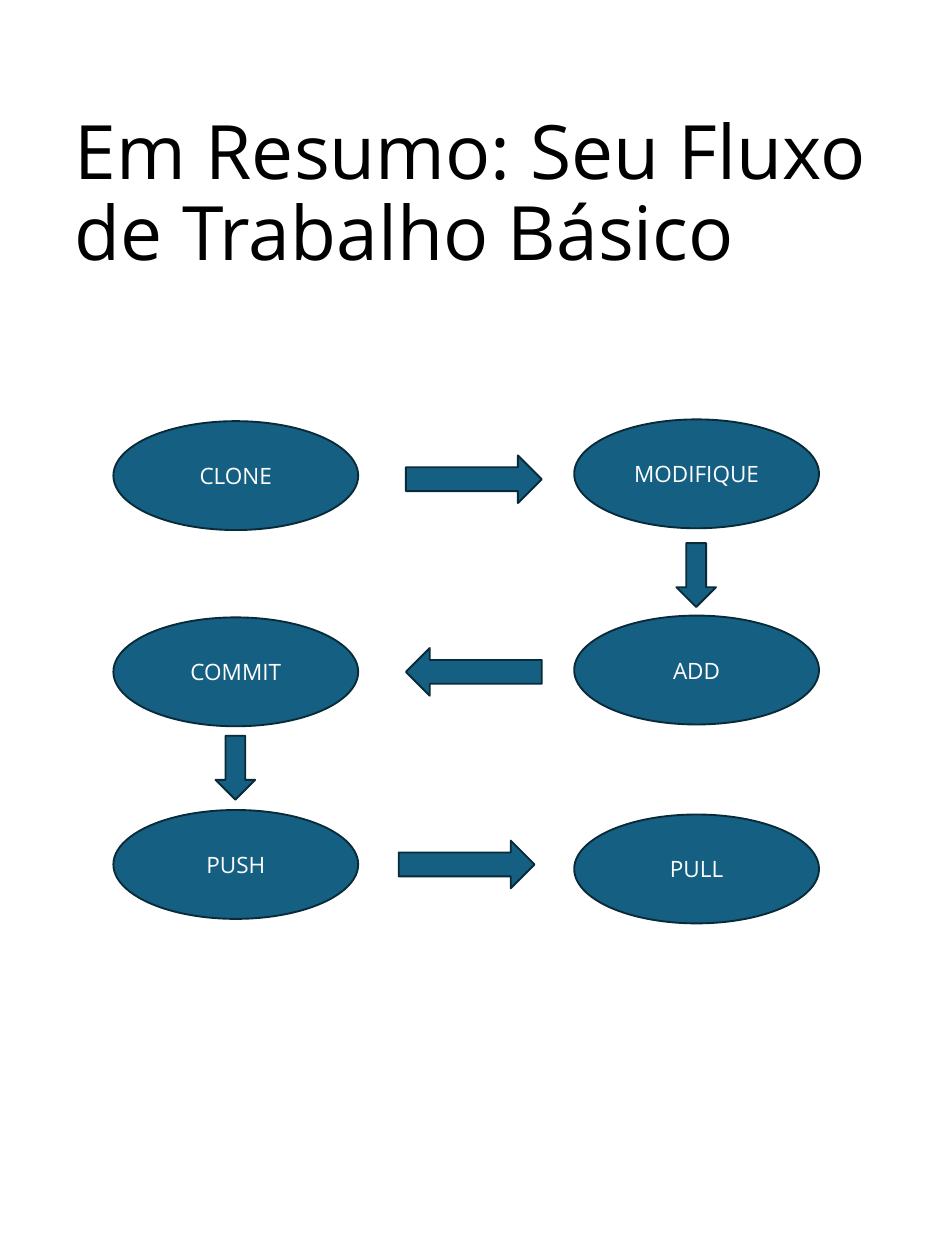
from pptx import Presentation
from pptx.dml.color import RGBColor
from pptx.enum.shapes import MSO_SHAPE
from pptx.enum.text import MSO_ANCHOR, MSO_AUTO_SIZE, PP_ALIGN
from pptx.util import Inches, Pt

ELLIPSE = MSO_SHAPE.OVAL
ARROW = MSO_SHAPE.RIGHT_ARROW
MIDDLE = MSO_ANCHOR.MIDDLE
LEFT, CENTER = PP_ALIGN.LEFT, PP_ALIGN.CENTER
TITLE_ONLY = 5

TITLE = "Em Resumo: Seu Fluxo de Trabalho Básico"
LEFT_COLUMN, RIGHT_COLUMN = 1.26, 6.38
STEP_SIZE = (2.72, 1.21)
STEPS = [
    ("CLONE", LEFT_COLUMN, 4.68),
    ("MODIFIQUE", RIGHT_COLUMN, 4.66),
    ("ADD", RIGHT_COLUMN, 6.84),
    ("COMMIT", LEFT_COLUMN, 6.86),
    ("PUSH", LEFT_COLUMN, 9),
    ("PULL", RIGHT_COLUMN, 9.05),
]
LONG_ARROW, SHORT_ARROW = (1.51, 0.53), (0.71, 0.44)
ARROWS = [
    (4.51, 5.06, LONG_ARROW, 0),
    (7.38, 6.17, SHORT_ARROW, 90),
    (4.51, 7.2, LONG_ARROW, 180),
    (2.26, 8.31, SHORT_ARROW, 90),
    (4.43, 9.34, LONG_ARROW, 0),
]


def color(value):
    return RGBColor.from_string(value)


def write_text(shape, text, size, fill, align, spacing=1.0):
    frame = shape.text_frame
    frame.word_wrap = True
    frame.auto_size = MSO_AUTO_SIZE.NONE
    frame.vertical_anchor = MIDDLE
    paragraph = frame.paragraphs[0]
    paragraph.alignment = align
    paragraph.line_spacing = spacing
    run = paragraph.add_run()
    run.text = text
    run.font.name = "Open Sans"
    run.font.size = Pt(size)
    run.font.color.rgb = color(fill)


def add_flow_shape(slide, kind, left, top, size, rotation=0):
    width, height = size
    shape = slide.shapes.add_shape(
        kind, Inches(left), Inches(top), Inches(width), Inches(height)
    )
    shape.rotation = rotation
    shape.shadow.inherit = False
    shape.fill.solid()
    shape.fill.fore_color.rgb = color("156082")
    shape.line.color.rgb = color("092A39")
    shape.line.width = Pt(1.5)
    return shape


def main():
    presentation = Presentation()
    presentation.slide_width = Inches(10.5)
    presentation.slide_height = Inches(14)
    slide = presentation.slides.add_slide(presentation.slide_layouts[TITLE_ONLY])

    title = slide.shapes.title
    title.left, title.top = Inches(0.73), Inches(0.63)
    title.width, title.height = Inches(9.21), Inches(3.09)
    write_text(title, TITLE, size=60, fill="000000", align=LEFT, spacing=0.9)

    for label, left, top in STEPS:
        step = add_flow_shape(slide, ELLIPSE, left, top, STEP_SIZE)
        write_text(step, label, size=18, fill="FFFFFF", align=CENTER)

    for left, top, size, rotation in ARROWS:
        add_flow_shape(slide, ARROW, left, top, size, rotation)

    presentation.save("out.pptx")


if __name__ == "__main__":
    main()
